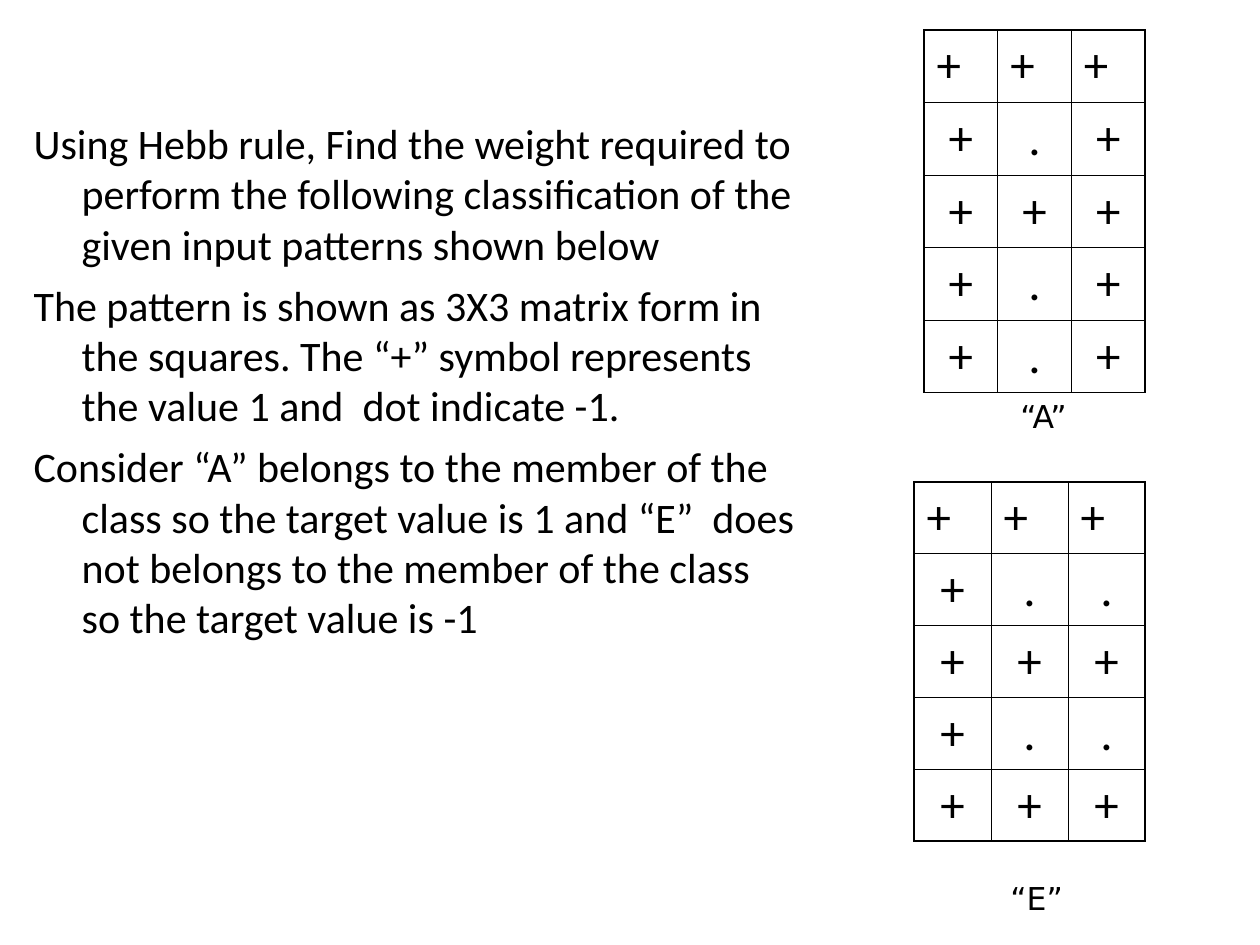
import pptx
import pptx.util
import pptx.dml.color
import pptx.enum.text
import pptx.oxml.ns
from lxml import etree

BODY = [
    "Using Hebb rule, Find the weight required to perform the following "
    "classification of the given input patterns shown below",
    "The pattern is shown as 3X3 matrix form in the squares. The “+” symbol "
    "represents the value 1 and  dot indicate -1.",
    "Consider “A” belongs to the member of the class so the target value is 1 "
    "and “E”  does not belongs to the member of the class so the target value is -1",
]
BODY_BOX = (21, 111, 788, 624)

# Boxes are left, top, width, height in px
GRIDS = [
    {"rows": ["+++", "+.+", "+++", "+.+", "+.+"], "box": (924, 30, 221, 359),
     "name": "“A”", "label": (1008, 391, 199, 50)},
    {"rows": ["+++", "+..", "+++", "+..", "+++"], "box": (914, 482, 231, 359),
     "name": "“E”", "label": (998, 873, 199, 50)},
]

BLACK = "000000"
THICK, THIN = 1.08, 0.45
ALIGN = pptx.enum.text.PP_ALIGN


def px(n):
    return round(n * 914400 / 126)


def place(box):
    return [px(n) for n in box]


def color(code):
    return pptx.dml.color.RGBColor.from_string(code)


def style(para, face, size):
    para.font.name = face
    para.font.size = pptx.util.Pt(size)
    para.font.color.rgb = color(BLACK)


def add(parent, tag, **attrs):
    return etree.SubElement(parent, pptx.oxml.ns.qn(tag), attrs)


def border(cell, sides):
    """Draw the cell's borders; sides maps L, R, T, B to widths in points."""
    props = cell._tc.get_or_add_tcPr()
    for side, width in sides.items():
        line = add(props, "a:ln" + side, w=str(pptx.util.Pt(width)))
        add(add(line, "a:solidFill"), "a:srgbClr", val=BLACK)


def add_body(slide):
    body = slide.placeholders[1]
    body.left, body.top, body.width, body.height = place(BODY_BOX)
    frame = body.text_frame
    frame.auto_size = pptx.enum.text.MSO_AUTO_SIZE.NONE
    frame.text = "\n".join(BODY)
    for i, para in enumerate(frame.paragraphs):
        props = para._p.get_or_add_pPr()
        props.set("marL", str(px(48)))
        props.set("indent", str(px(-48)))
        para.space_before = pptx.util.Pt(6 if i else 0)
        add(props, "a:buNone")
        style(para, "Calibri", 24)


def add_grid(slide, rows, box):
    high, wide = len(rows), len(rows[0])
    table = slide.shapes.add_table(high, wide, *place(box)).table
    table.first_row = table.horz_banding = False
    for r, row in enumerate(rows):
        for c, mark in enumerate(row):
            cell = table.cell(r, c)
            edges = {"L": c == 0, "R": c == wide - 1,
                     "T": r == 0, "B": r == high - 1}
            border(cell, {k: THICK if outer else THIN
                          for k, outer in edges.items()})
            cell.fill.background()
            cell.vertical_anchor = pptx.enum.text.MSO_ANCHOR.MIDDLE
            cell.text = mark
            para = cell.text_frame.paragraphs[0]
            para.alignment = ALIGN.CENTER if r else ALIGN.LEFT
            style(para, "Calibri", 28)


def add_label(slide, text, box):
    frame = slide.shapes.add_textbox(*place(box)).text_frame
    frame.word_wrap = True
    frame.auto_size = pptx.enum.text.MSO_AUTO_SIZE.SHAPE_TO_FIT_TEXT
    frame.text = text
    style(frame.paragraphs[0], "DejaVu Sans", 18)


def main():
    deck = pptx.Presentation()
    deck.slide_width, deck.slide_height = px(1260), px(945)
    slide = deck.slides.add_slide(deck.slide_layouts[1])
    title = slide.shapes.title._element
    title.getparent().remove(title)
    add_body(slide)
    for grid in GRIDS:
        add_grid(slide, grid["rows"], grid["box"])
        add_label(slide, grid["name"], grid["label"])
    deck.save("out.pptx")


if __name__ == "__main__":
    main()
